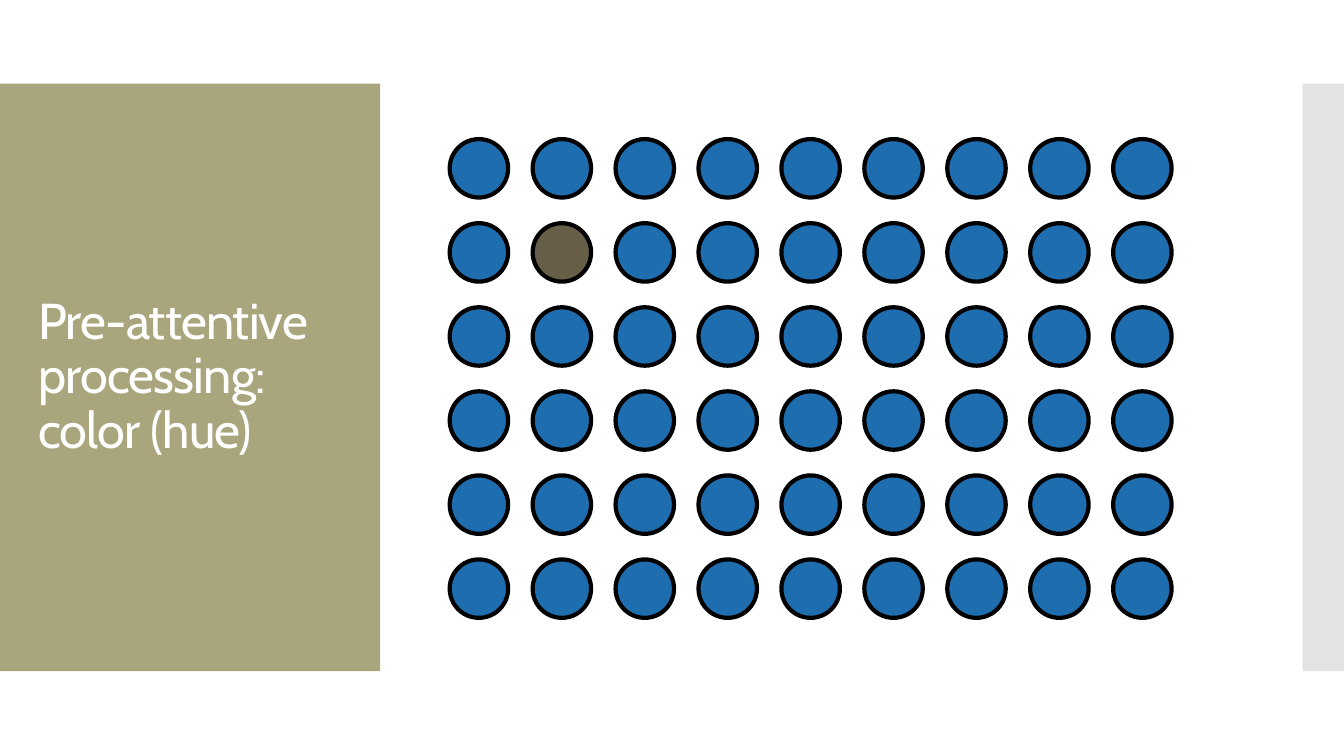
import pptx
import pptx.dml.color
import pptx.enum.shapes
import pptx.enum.text
import pptx.oxml.ns
import pptx.util
from lxml import etree

Inches = pptx.util.Inches
SHAPE = pptx.enum.shapes.MSO_SHAPE
COLORS = {
    "panel": "A9A57C",
    "edge": "C8C8C8",
    "dot": "1E6DAE",
    "odd": "675E47",
    "outline": "000000",
    "title": "FFFFFF",
}


def rgb(name):
    return pptx.dml.color.RGBColor.from_string(COLORS[name])


def add_shape(s, kind, box, fill, line=None, alpha=None):
    sp = s.shapes.add_shape(kind, *[Inches(v) for v in box])
    sp.shadow.inherit = False
    sp.fill.solid()
    sp.fill.fore_color.rgb = rgb(fill)
    if alpha is not None:
        clr = sp.element.spPr.find(".//" + pptx.oxml.ns.qn("a:srgbClr"))
        etree.SubElement(clr, pptx.oxml.ns.qn("a:alpha"), val=str(alpha * 1000))
    if line:
        sp.line.color.rgb = rgb(line)
        sp.line.width = pptx.util.Pt(3)
    else:
        sp.line.fill.background()
    return sp


def write_text(tf, text, size=36, font="Cabin", color="title", spacing=0.9, tracking=-60):
    tf.word_wrap = True
    tf.auto_size = pptx.enum.text.MSO_AUTO_SIZE.NONE
    tf.vertical_anchor = pptx.enum.text.MSO_ANCHOR.MIDDLE
    p = tf.paragraphs[0]
    p.alignment = pptx.enum.text.PP_ALIGN.LEFT
    p.line_spacing = spacing
    r = p.add_run()
    r.text = text
    r.font.size = pptx.util.Pt(size)
    r.font.name = font
    r.font.color.rgb = rgb(color)
    r.font.element.set("spc", str(tracking)) if hasattr(r.font, "element") else r._r.get_or_add_rPr().set("spc", str(tracking))


def title_panel(s, box, text):
    x, y, w, h = box
    add_shape(s, SHAPE.RECTANGLE, box, "panel")
    title = s.shapes.title
    title.left, title.top = Inches(x + 0.28), Inches(y + 0.4)
    title.width, title.height = Inches(w - 0.55), Inches(h - 0.8)
    write_text(title.text_frame, text)
    s.shapes.element.append(title.element)


def edge_strip(s, box):
    add_shape(s, SHAPE.RECTANGLE, box, "edge", alpha=50)


def dot_grid(s, box, rows, cols, size, odd):
    x, y, w, h = box
    dx = (w - size) / (cols - 1)
    dy = (h - size) / (rows - 1)
    for row in range(rows):
        for col in range(cols):
            fill = "odd" if (row, col) == odd else "dot"
            dot = (x + col * dx, y + row * dy, size, size)
            add_shape(s, SHAPE.OVAL, dot, fill, line="outline")


def main():
    prs = pptx.Presentation()
    prs.slide_width, prs.slide_height = Inches(13.33), Inches(7.5)
    s = prs.slides.add_slide(prs.slide_layouts[5])
    title_panel(s, (0, 0.83, 3.77, 5.83), "Pre-attentive processing: color (hue)")
    edge_strip(s, (12.92, 0.83, 0.41, 5.83))
    dot_grid(s, (4.46, 1.38, 7.16, 4.75), rows=6, cols=9, size=0.58, odd=(1, 1))
    prs.save("out.pptx")


if __name__ == "__main__":
    main()
